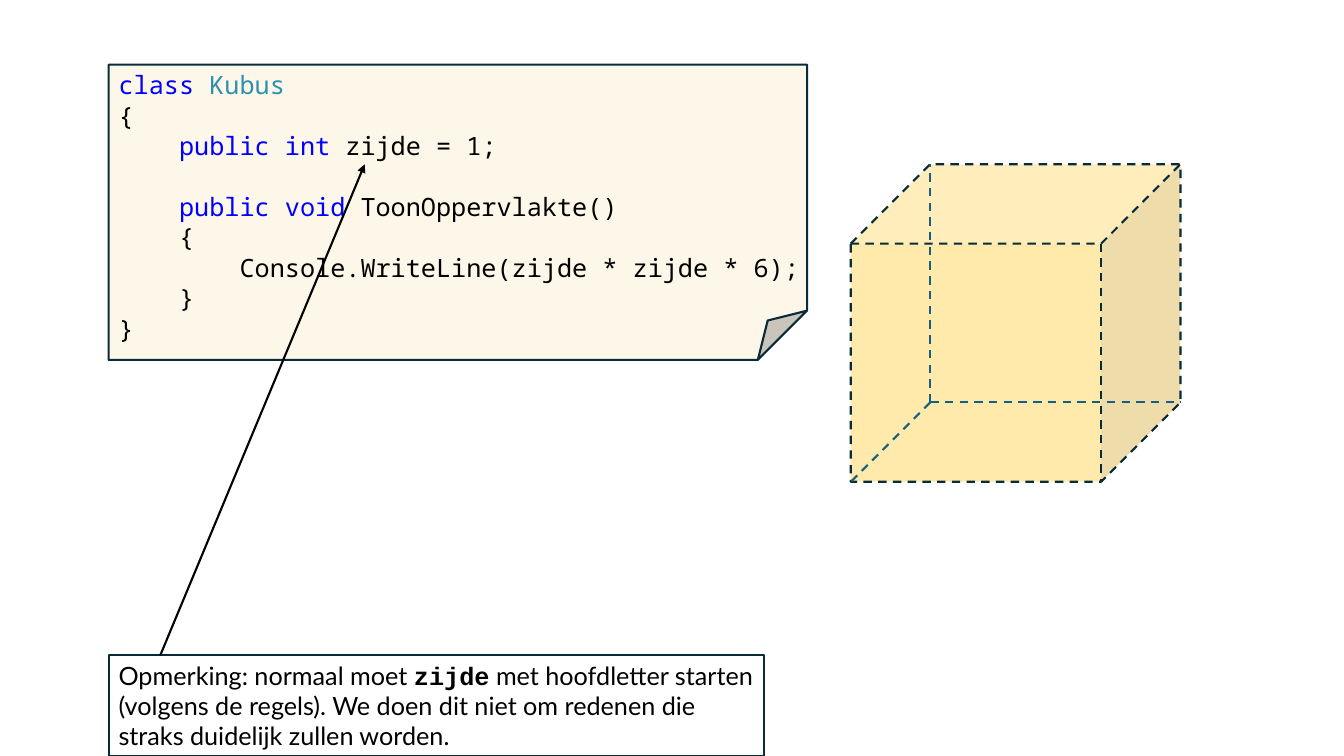
from dataclasses import dataclass

from lxml import etree
from pptx import Presentation
from pptx.dml.color import RGBColor
from pptx.enum.dml import MSO_LINE
from pptx.enum.shapes import MSO_CONNECTOR, MSO_SHAPE
from pptx.enum.text import MSO_ANCHOR, PP_ALIGN
from pptx.oxml.ns import qn
from pptx.util import Cm, Pt

CUBE, FOLDED, RECT = MSO_SHAPE.CUBE, MSO_SHAPE.FOLDED_CORNER, MSO_SHAPE.RECTANGLE
STRAIGHT = MSO_CONNECTOR.STRAIGHT
DASH = MSO_LINE.DASH
LEFT, MIDDLE = PP_ALIGN.LEFT, MSO_ANCHOR.MIDDLE


@dataclass(frozen=True)
class Theme:
    paper: str = "FDF7E9"
    white: str = "FFFFFF"
    outline: str = "092A39"
    hidden_edge: str = "156082"
    cube: str = "FFC000"
    text: str = "000000"
    keyword: str = "0000FF"
    type_name: str = "2B91AF"
    code_font: str = "Noto Sans Mono"
    body_font: str = "Lato"
    inline_font: str = "Courier New"
    size: Pt = Pt(18)
    code_pitch: Pt = Pt(21.7)
    line: Pt = Pt(1.5)


theme = Theme()


def add_box(shapes, kind, left, top, width, height, fill):
    sp = shapes.add_shape(kind, Cm(left), Cm(top), Cm(width), Cm(height))
    sp.shadow.inherit = False
    sp.fill.solid()
    sp.fill.fore_color.rgb = RGBColor.from_string(fill)
    sp.line.color.rgb = RGBColor.from_string(theme.outline)
    sp.line.width = theme.line
    return sp


def add_line(shapes, start, end, color):
    cxn = shapes.add_connector(STRAIGHT, *(Cm(v) for v in (*start, *end)))
    cxn.line.color.rgb = RGBColor.from_string(color)
    cxn.line.width = theme.line
    etree.SubElement(cxn._element.spPr, qn("a:effectLst"))
    return cxn


prs = Presentation()
prs.slide_width, prs.slide_height = Cm(33.87), Cm(19.05)
slide = prs.slides.add_slide(prs.slide_layouts[6])

# Cube with its three hidden edges
left, top, width, height, depth = 21.44, 4.14, 8.31, 8, 2
group = slide.shapes.add_group_shape()
cube = add_box(group.shapes, CUBE, left, top, width, height, theme.cube)
cube.adjustments[0] = depth / height
cube.line.dash_style = DASH
cube_color = cube._element.spPr.find(qn("a:solidFill"))[0]
etree.SubElement(cube_color, qn("a:alpha"), val="33000")

back_corner = (left + depth, top + height - depth)
for end in (
    (back_corner[0], top),
    (left + width, back_corner[1]),
    (left, top + height),
):
    edge = add_line(group.shapes, back_corner, end, theme.hidden_edge)
    edge.line.dash_style = DASH

# Code on a sheet with a folded corner
margin = 2.74
add_box(slide.shapes, FOLDED, margin, 1.63, 17.6, 7.44, theme.paper)

code = [
    [("class ", theme.keyword), ("Kubus", theme.type_name)],
    [("{", theme.text)],
    [("    public int", theme.keyword), (" zijde = 1;", theme.text)],
    [("    public void ", theme.keyword), ("ToonOppervlakte()", theme.text)],
    [("    {", theme.text)],
    [("        Console.WriteLine(zijde * zijde * 6);", theme.text)],
    [("    }", theme.text)],
    [("}", theme.text)],
]
method_line = 3

tf = slide.shapes.add_textbox(Cm(margin), Cm(1.63), Cm(18.16), Cm(7.19)).text_frame
tf.word_wrap = True
for i, pieces in enumerate(code):
    p = tf.add_paragraph() if i else tf.paragraphs[0]
    p.line_spacing = theme.code_pitch
    if i == method_line:
        p.space_before = theme.code_pitch
    for text, color in pieces:
        r = p.add_run()
        r.text = text
        r.font.name = theme.code_font
        r.font.size = theme.size
        r.font.color.rgb = RGBColor.from_string(color)

# Remark with an arrow to the field
note_top = 16.51
note = add_box(slide.shapes, RECT, margin, note_top, 16.51, 2.54, theme.white)
tf = note.text_frame
tf.word_wrap = True
tf.vertical_anchor = MIDDLE
p = tf.paragraphs[0]
p.alignment = LEFT
for text, font, bold in (
    ("Opmerking: normaal moet ", theme.body_font, False),
    ("zijde", theme.inline_font, True),
    (" met hoofdletter starten (volgens de regels). We doen dit niet om redenen "
     "die straks duidelijk zullen worden.", theme.body_font, False),
):
    r = p.add_run()
    r.text = text
    r.font.name = font
    r.font.size = theme.size
    r.font.bold = bold
    r.font.color.rgb = RGBColor.from_string(theme.text)

arrow = add_line(slide.shapes, (4.04, note_top), (9.19, 4.14), theme.text)
etree.SubElement(arrow.line._get_or_add_ln(), qn("a:tailEnd"), type="triangle")

prs.save("out.pptx")
